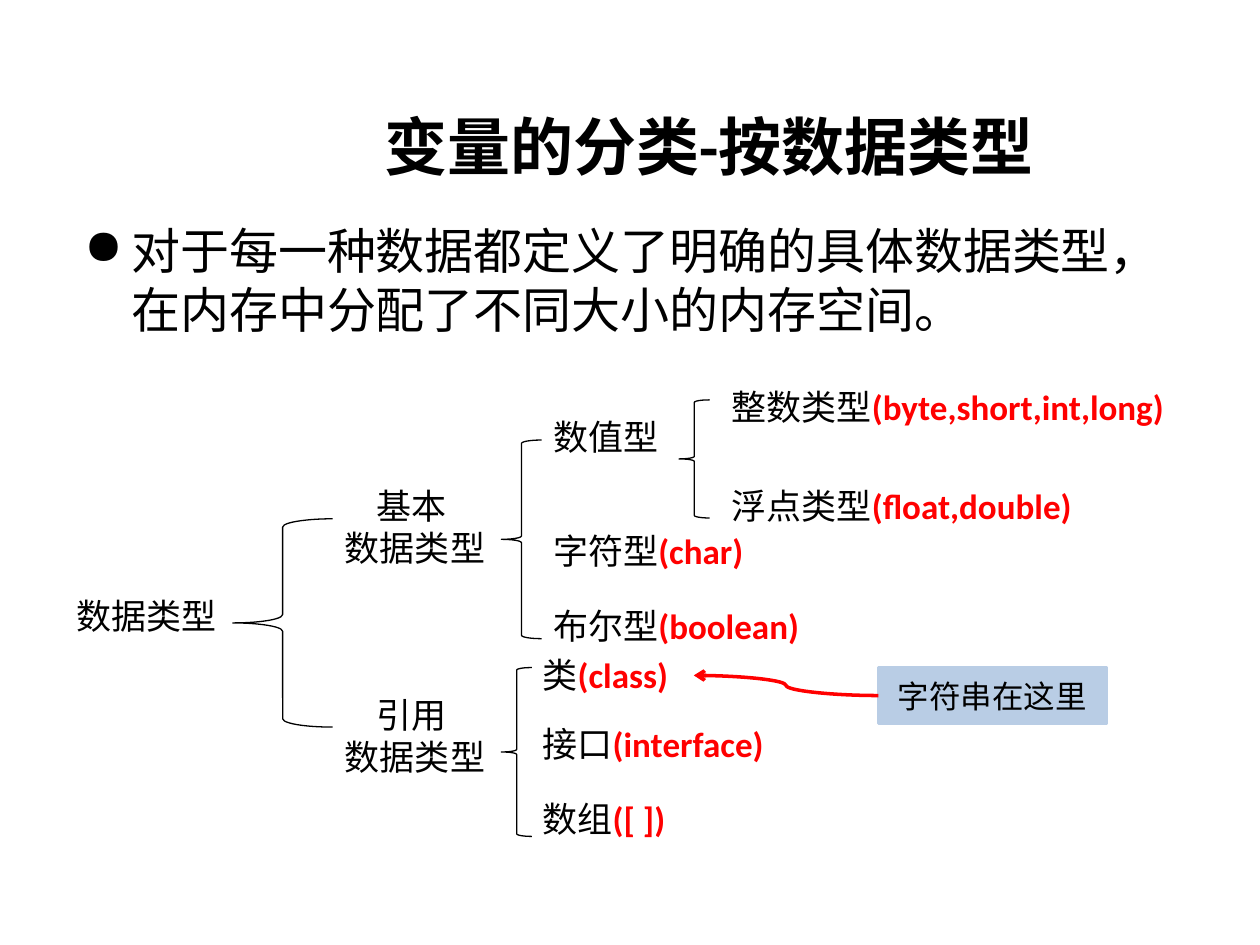
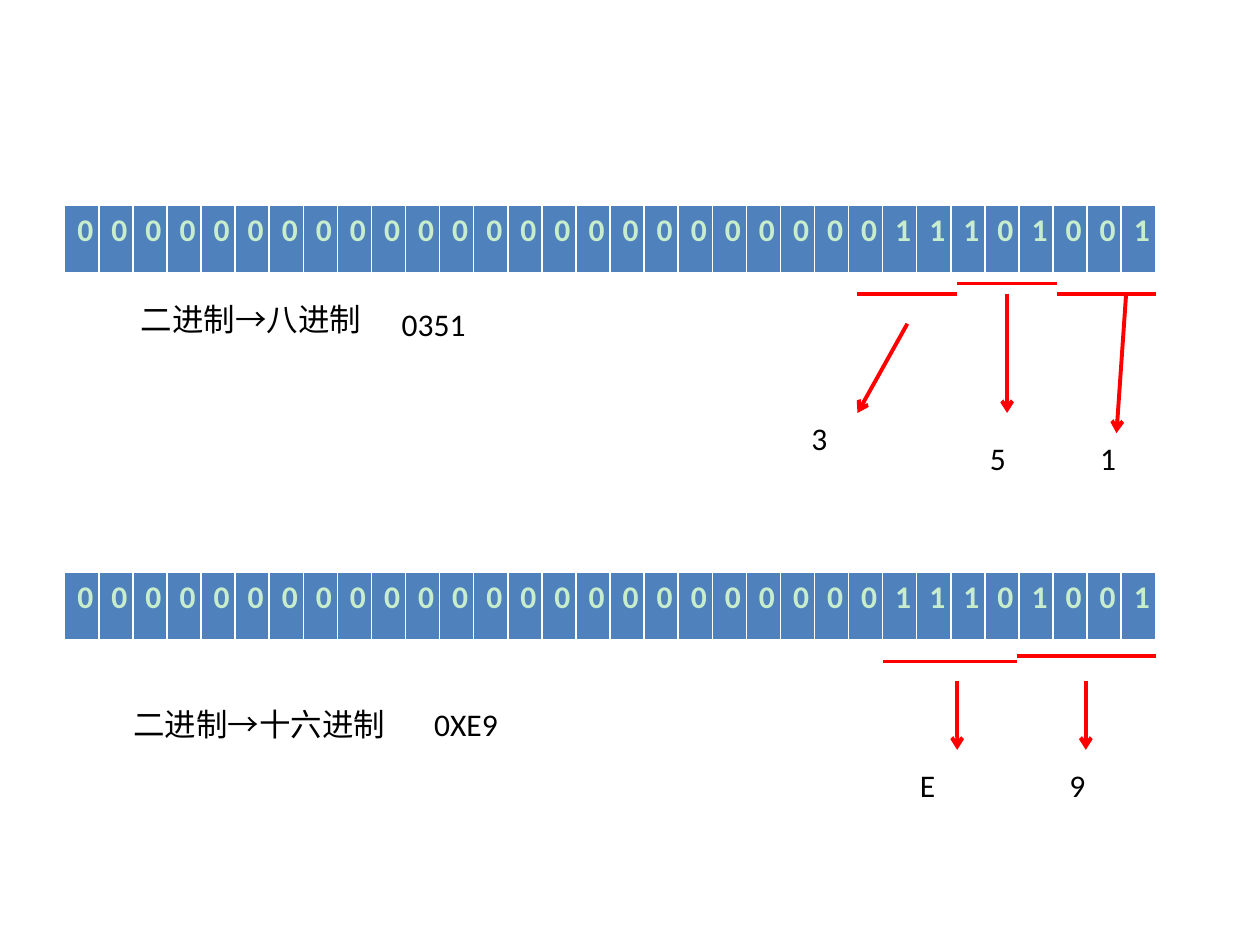
from lxml.etree import SubElement
from pptx import Presentation
from pptx.dml.color import RGBColor
from pptx.enum.lang import MSO_LANGUAGE_ID
from pptx.enum.shapes import MSO_CONNECTOR, MSO_SHAPE
from pptx.enum.text import MSO_ANCHOR, PP_ALIGN
from pptx.oxml.ns import qn
from pptx.util import Pt

BLACK = RGBColor(0x00, 0x00, 0x00)
WHITE = RGBColor(0xFF, 0xFF, 0xFF)
RED = RGBColor(0xFF, 0x00, 0x00)
BLUE = RGBColor(0x4F, 0x81, 0xBD)
PALE_BLUE = RGBColor(0xB9, 0xCD, 0xE5)
PALE_GREEN = RGBColor(0xC7, 0xED, 0xCC)

TITLE_ONLY, BLANK = 5, 6
BITS = f"{0xE9:032b}"


class SlideBuilder:
    font_format = {"name": "Calibri", "language_id": MSO_LANGUAGE_ID.SIMPLIFIED_CHINESE}

    def __init__(self):
        self.deck = Presentation()
        self.deck.slide_width, self.deck.slide_height = Pt(720), Pt(540)
        self.page = None

    def new_page(self, layout):
        self.page = self.deck.slides.add_slide(self.deck.slide_layouts[layout])
        self.page.background.fill.solid()
        self.page.background.fill.fore_color.rgb = WHITE

    def add_span(self, para, text, size, color=BLACK, bold=False):
        span = para.add_run()
        span.text = text
        for name, value in {**self.font_format, "size": Pt(size), "bold": bold}.items():
            setattr(span.font, name, value)
        span.font.color.rgb = color

    def title(self, text, left, top, width, height):
        box = self.page.shapes.title
        place = {"left": left, "top": top, "width": width, "height": height}
        for name, value in place.items():
            setattr(box, name, Pt(value))
        box.text_frame.vertical_anchor = MSO_ANCHOR.MIDDLE
        para = box.text_frame.paragraphs[0]
        para.alignment = PP_ALIGN.CENTER
        self.add_span(para, text, 36, bold=True)

    def text(self, text, left, top, width, height=30, size=18, keywords=""):
        box = self.page.shapes.add_textbox(Pt(left), Pt(top), Pt(width), Pt(height))
        box.text_frame.word_wrap = True
        para = box.text_frame.paragraphs[0]
        self.add_span(para, text, size)
        if keywords:
            self.add_span(para, keywords, size, RED, True)
        return box

    def bullet(self, text, left, top, width, height):
        box = self.text(text, left, top, width, height, 28)
        para = box.text_frame.paragraphs[0]
        para.space_before = Pt(5.6)
        properties = para._p.get_or_add_pPr()
        properties.set("marL", str(Pt(27)))
        properties.set("indent", str(Pt(-27)))
        SubElement(properties, qn("a:buChar")).set("char", "●")

    def two_line_label(self, first, second, left, top):
        box = self.text(first, left, top, 159, 56, 20)
        indent = box.text_frame.paragraphs[0]._p.get_or_add_pPr()
        indent.set("marL", str(Pt(18)))
        indent.set("indent", "0")
        self.add_span(box.text_frame.add_paragraph(), second, 20)

    def shape(self, kind, left, top, width, height, line, weight):
        shape = self.page.shapes.add_shape(kind, Pt(left), Pt(top), Pt(width), Pt(height))
        shape.shadow.inherit = False
        shape.line.color.rgb = line
        shape.line.width = Pt(weight)
        return shape

    def brace(self, left, top, width, height):
        brace = self.shape(MSO_SHAPE.LEFT_BRACE, left, top, width, height, BLACK, 0.75)
        brace.fill.background()

    def callout(self, text, left, top, width, height):
        box = self.shape(MSO_SHAPE.RECTANGLE, left, top, width, height, PALE_BLUE, 2)
        box.fill.solid()
        box.fill.fore_color.rgb = PALE_BLUE
        box.text_frame.vertical_anchor = MSO_ANCHOR.MIDDLE
        para = box.text_frame.paragraphs[0]
        para.alignment = PP_ALIGN.CENTER
        self.add_span(para, text, 18)

    def line(self, begin, end, arrow=False, kind=MSO_CONNECTOR.STRAIGHT, weight=2.25):
        ends = [Pt(value) for value in (*begin, *end)]
        line = self.page.shapes.add_connector(kind, *ends)
        line.line.color.rgb = RED
        line.line.width = Pt(weight)
        properties = line._element.spPr
        if arrow:
            SubElement(properties.find(qn("a:ln")), qn("a:tailEnd")).set("type", "arrow")
        SubElement(properties, qn("a:effectLst"))

    def border(self, cell):
        properties = cell._tc.get_or_add_tcPr()
        for side, weight in {"L": 1, "R": 1, "T": 1, "B": 3}.items():
            edge = SubElement(properties, qn(f"a:ln{side}"))
            edge.set("w", str(Pt(weight)))
            fill = SubElement(edge, qn("a:solidFill"))
            SubElement(fill, qn("a:srgbClr")).set("val", str(WHITE))

    def bit_table(self, bits, left, top, width, height):
        place = [Pt(value) for value in (left, top, width, height)]
        table = self.page.shapes.add_table(1, len(bits), *place).table
        table.first_row = table.horz_banding = False
        for column, bit in enumerate(bits):
            table.columns[column].width = Pt(width / len(bits))
            cell = table.cell(0, column)
            self.border(cell)
            cell.fill.solid()
            cell.fill.fore_color.rgb = BLUE
            self.add_span(cell.text_frame.paragraphs[0], bit, 18, PALE_GREEN, True)

    def bit_group(self, digit, left, right, level, begin, end, digit_place):
        self.line((left, level), (right, level))
        self.line(begin, end, arrow=True)
        self.text(digit, *digit_place, 57)


def build_type_tree(builder):
    builder.new_page(TITLE_ONLY)
    builder.title("变量的分类-按数据类型", 157.5, 49, 495.5, 67.5)
    builder.bullet("对于每一种数据都定义了明确的具体数据类型，在内存中分配了不同大小的内存空间。",
                   41, 122.5, 648, 82)
    for place in ((133, 296.5, 57, 119), (286.5, 251.5, 23, 113.5),
                  (286.5, 381.5, 17.5, 96.5), (388, 228.5, 17.5, 67.5)):
        builder.brace(*place)
    builder.two_line_label("基本", "数据类型", 190, 273.5)
    builder.two_line_label("引用", "数据类型", 190, 393)
    labels = [
        ("数据类型", "", 36.5, 336, 113),
        ("数值型", "", 309, 234, 102),
        ("字符型", "(char)", 309, 299, 136),
        ("布尔型", "(boolean)", 309, 342, 176),
        ("整数类型", "(byte,short,int,long)", 411, 216.5, 278),
        ("浮点类型", "(float,double)", 411, 273.5, 266),
        ("类", "(class)", 303, 370, 136),
        ("接口", "(interface)", 303, 409.5, 199),
        ("数组", "([ ])", 303, 452, 136),
    ]
    for text, keywords, left, top, width in labels:
        builder.text(text, left, top, width, size=20, keywords=keywords)
    builder.callout("字符串在这里", 502, 381.5, 130, 32)
    builder.line((502, 397.5), (396.5, 386), True, MSO_CONNECTOR.CURVE, 2)


def build_base_conversion(builder):
    builder.new_page(BLANK)
    for top in (117, 327):
        builder.bit_table(BITS, 37, top, 623.5, 39.5)
    groups = [
        ("3", 490, 547, 168, (518.5, 185), (490, 236), (456.5, 236)),
        ("5", 547, 604, 162, (575.5, 168), (575.5, 236), (558.5, 247.5)),
        ("1", 604, 660.5, 168, (643.5, 168), (638, 247.5), (621.5, 247.5)),
        ("E", 504.5, 581, 378, (547, 389), (547, 428.5), (518.5, 434)),
        ("9", 581, 660.5, 375, (620.5, 389), (620.5, 428.5), (604, 434)),
    ]
    for group in groups:
        builder.bit_group(*group)
    builder.text("二进制→八进制", 73.5, 168, 249)
    builder.text("0351", 222.5, 170.5, 96.5)
    builder.text("二进制→十六进制", 69, 399.5, 249)
    builder.text("0XE9", 241, 399.5, 111)


def main():
    builder = SlideBuilder()
    build_type_tree(builder)
    build_base_conversion(builder)
    builder.deck.save("out.pptx")


if __name__ == "__main__":
    main()
